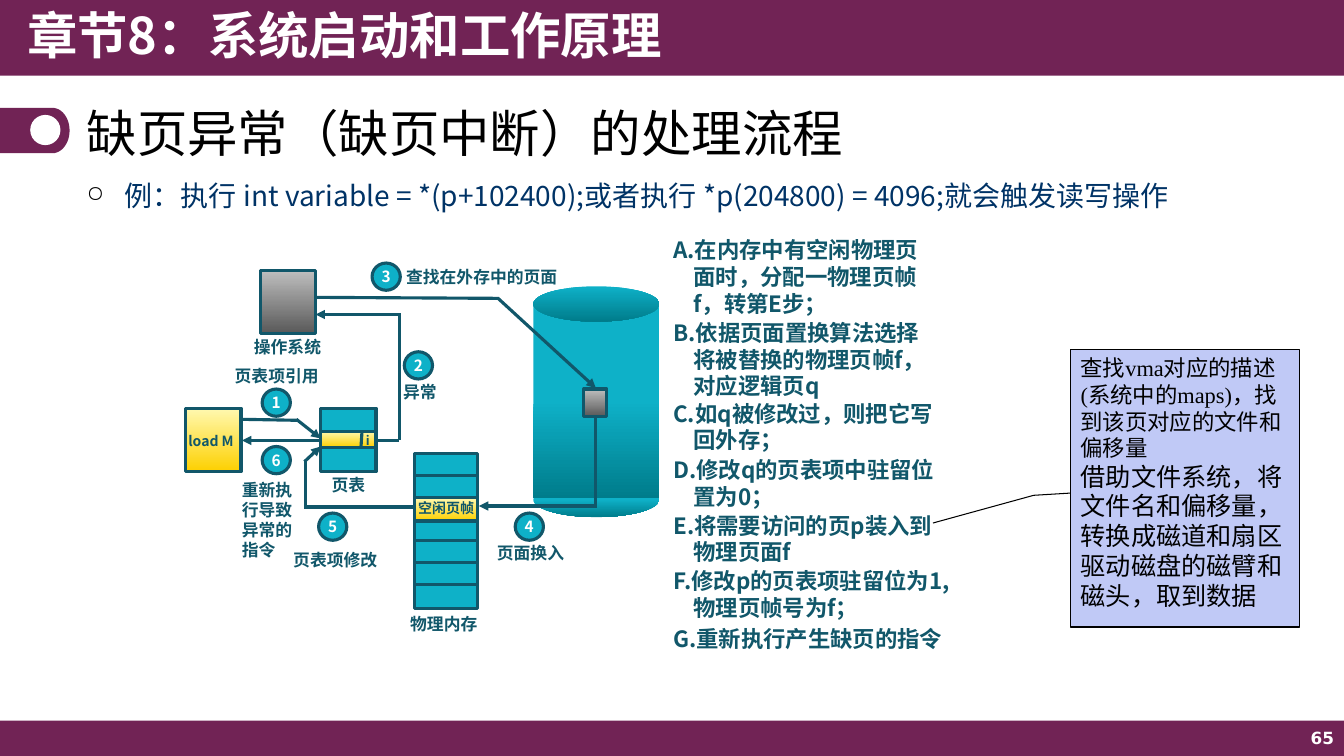
from math import cos, pi, sin

from lxml.etree import SubElement
from pptx import Presentation
from pptx.dml.color import RGBColor
from pptx.enum.shapes import MSO_CONNECTOR, MSO_SHAPE
from pptx.enum.text import MSO_ANCHOR, MSO_AUTO_SIZE, PP_ALIGN
from pptx.oxml.ns import qn
from pptx.util import Inches, Pt

PURPLE = RGBColor(0x71, 0x23, 0x55)
WHITE = RGBColor(0xFF, 0xFF, 0xFF)
BLACK = RGBColor(0, 0, 0)
NAVY = RGBColor(0x00, 0x33, 0x66)
TEAL = RGBColor(0x11, 0x57, 0x6A)
CYAN = RGBColor(0x0E, 0xB1, 0xC8)
DEEP_CYAN = RGBColor(0x00, 0x7C, 0x8B)
LAVENDER = RGBColor(0xC0, 0xC9, 0xF6)
GRAYS = (RGBColor(0xBF, 0xBF, 0xBF), RGBColor(0x59, 0x59, 0x59))
YELLOWS = (RGBColor(0xFF, 0xF9, 0xB1), RGBColor(0xFD, 0xD0, 0x00))
CYANS = (CYAN, DEEP_CYAN)
NOTO = "Noto Sans CJK SC"
TIMES = "Times New Roman"

CHAPTER = "章节8：系统启动和工作原理"
TITLE = "缺页异常（缺页中断）的处理流程"
EXAMPLE = "例：执行 int variable = *(p+102400);或者执行 *p(204800) = 4096;就会触发读写操作"
PAGE = "65"

STEPS = [
    (2.3, 2.8, "在内存中有空闲物理页面时，分配一物理页帧f，转第E步；"),
    (3.12, 2.8, "B.依据页面置换算法选择将被替换的物理页帧f，对应逻辑页q"),
    (3.92, 2.88, "C.如q被修改过，则把它写回外存；"),
    (4.48, 2.95, "D.修改q的页表项中驻留位置为0；"),
    (5.03, 2.88, "E.将需要访问的页p装入到物理页面f"),
    (5.58, 3.03, "F.修改p的页表项驻留位为1,物理页帧号为f；"),
    (6.16, 3.03, "G.重新执行产生缺页的指令"),
]
NOTES = [
    ("查找vma对应的描述 (系统中的maps)，找到该页对应的文件和偏移量", 16),
    ("借助文件系统，将文件名和偏移量，转换成磁道和扇区", 18),
    ("驱动磁盘的磁臂和磁头，取到数据", 18),
]
CALLOUT_POINTS = (0.625, -0.602, 0.525, -0.162, 0.517, -0.002)

DISK = [
    (MSO_SHAPE.OVAL, 4.78, 0.35, 0.5),
    (MSO_SHAPE.RECTANGLE, 3.02, 1.92, 0.5),
    (MSO_SHAPE.OVAL, 2.84, 0.35, 0),
]
BOXES = [
    (5.79, 3.86, 0.23, 0.27, GRAYS),
    (2.58, 2.68, 0.55, 0.63, GRAYS),
    (1.84, 4.05, 0.55, 0.63, YELLOWS),
    (3.18, 4.05, 0.55, 0.63, CYAN),
    (3.18, 4.28, 0.55, 0.16, YELLOWS),
    (4.11, 4.5, 0.63, 1.54, CYAN),
    (4.11, 4.94, 0.63, 0.23, YELLOWS),
]
ARROWS = [
    (5.91, 3.85, 4.94, 2.96),
    (3.13, 3.12, 3.96, 3.12),
    (2.4, 4.37, 3.18, 4.37),
    (3.18, 4.35, 2.94, 4.16),
    (3.18, 4.43, 3.02, 4.58),
    (4.75, 5.02, 5.92, 5.02),
]
LINES = [
    (3.14, 2.95, 4.95, 2.96),
    (3.96, 3.11, 3.96, 4.37),
    (3.72, 4.37, 3.96, 4.37),
    (2.4, 4.16, 2.95, 4.17),
    (3.59, 4.29, 3.58, 4.44),
    (3.02, 5.03, 4.11, 5.03),
    (3.03, 4.57, 3.03, 5.04),
    (5.91, 4.13, 5.91, 5.02),
] + [(4.11, y, 4.74, y) for y in (4.72, 5.36, 5.58, 5.8)]
BADGES = [
    ("1", 2.6, 3.86), ("2", 4.01, 3.49), ("3", 3.69, 2.61),
    ("4", 5.11, 5.09), ("5", 3.16, 5.09), ("6", 2.6, 4.43),
]
LABELS = [
    ("查找在外存中的页面", 3.93, 2.6, 1.87, 0.3, 12),
    ("页表项引用", 2.23, 3.58, 1.1, 0.3, 12),
    ("异常", 3.9, 3.74, 0.6, 0.3, 12),
    ("load M", 1.77, 4.24, 0.7, 0.27, 10),
    ("重新执行导致异常的指令", 2.3, 4.71, 0.79, 0.91, 12),
    ("i", 3.53, 4.25, 0.23, 0.25, 9),
    ("页表", 3.19, 4.66, 1.2, 0.3, 12),
    ("页表项修改", 2.81, 5.41, 1.18, 0.3, 12),
    ("页面换入", 4.83, 5.34, 1.21, 0.3, 12),
    ("空闲页帧", 4.05, 4.91, 0.86, 0.27, 10),
    ("物理内存", 3.97, 6.04, 1.02, 0.3, 12),
    ("操作系统", 2.42, 3.29, 1.02, 0.3, 12),
]

prs = Presentation()
prs.slide_width, prs.slide_height = Inches(13.33), Inches(7.5)
s = prs.slides.add_slide(prs.slide_layouts[5])


def write(p, text, size=12, color=TEAL, bold=True, font=NOTO, align=PP_ALIGN.LEFT, hang=0):
    p.alignment = align
    p.line_spacing = Pt(round(size * 1.19, 1))
    if hang:
        pPr = p._p.get_or_add_pPr()
        pPr.set("marL", str(Inches(hang)))
        pPr.set("indent", str(-Inches(hang)))
    r = p.add_run()
    r.text = text
    r.font.size, r.font.bold, r.font.name = Pt(size), bold, font
    r.font.color.rgb = color
    ea = NOTO if font == TIMES else font
    SubElement(r._r.get_or_add_rPr(), qn("a:ea")).set("typeface", ea)


def add_text(text, x, y, w, h, anchor=MSO_ANCHOR.TOP, **fmt):
    tf = s.shapes.add_textbox(*map(Inches, (x, y, w, h))).text_frame
    tf.word_wrap, tf.vertical_anchor = True, anchor
    write(tf.paragraphs[0], text, **fmt)
    return tf.paragraphs[0]


def paint(sp, fill, line=None, width=2.25, start=0):
    sp.shadow.inherit = False
    if isinstance(fill, tuple) and not isinstance(fill, RGBColor):
        sp.fill.gradient()
        sp.fill.gradient_angle = 270
        for stop, color, position in zip(sp.fill.gradient_stops, fill, (start, 1)):
            stop.color.rgb, stop.position = color, position
    else:
        sp.fill.solid()
        sp.fill.fore_color.rgb = fill
    if line is None:
        sp.line.fill.background()
    else:
        sp.line.color.rgb, sp.line.width = line, Pt(width)
    return sp


def add_shape(kind, x, y, w, h, fill, **look):
    return paint(s.shapes.add_shape(kind, *map(Inches, (x, y, w, h))), fill, **look)


def add_line(ends, arrow=False):
    c = s.shapes.add_connector(MSO_CONNECTOR.STRAIGHT, *map(Inches, ends))
    c.line.color.rgb, c.line.width = TEAL, Pt(2.25)
    if arrow:
        SubElement(c.line._get_or_add_ln(), qn("a:headEnd")).set("type", "triangle")
    SubElement(c._element.spPr, qn("a:effectLst"))


def add_bullet(p, tag, **attrs):
    el = SubElement(p._p.get_or_add_pPr(), qn(tag))
    for key, value in attrs.items():
        el.set(key, value)
    return el


add_shape(MSO_SHAPE.RECTANGLE, 0, 7.15, 13.33, 0.35, PURPLE)
add_shape(MSO_SHAPE.RECTANGLE, 0, 0, 13.33, 0.75, PURPLE)
arc = [(0.52 + 0.17 * sin(pi * i / 24), 1.295 - 0.225 * cos(pi * i / 24)) for i in range(25)]
fb = s.shapes.build_freeform(0, Inches(1.07), scale=1.0)
fb.add_line_segments([(Inches(x), Inches(y)) for x, y in arc + [(0, 1.52)]], close=True)
paint(fb.convert_to_shape(), PURPLE)
add_shape(MSO_SHAPE.OVAL, 0.3, 1.14, 0.3, 0.3, WHITE)
add_text(CHAPTER, 0.17, 0, 7.6, 0.77, size=36, color=WHITE)

title = s.shapes.title
title.left, title.top, title.width, title.height = map(Inches, (0.76, 0.95, 11.81, 0.74))
tf = title.text_frame
tf.auto_size, tf.vertical_anchor = MSO_AUTO_SIZE.NONE, MSO_ANCHOR.MIDDLE
write(tf.paragraphs[0], TITLE, size=36, color=BLACK, bold=False)

p = add_text(EXAMPLE, 0.76, 1.72, 11.81, 0.5, size=20, color=NAVY, bold=False, hang=0.38)
SubElement(add_bullet(p, "a:buClr"), qn("a:srgbClr")).set("val", str(BLACK))
add_bullet(p, "a:buSzPct", val="80000")
add_bullet(p, "a:buChar", char="○")

for kind, y, h, start in DISK:
    add_shape(kind, 5.29, y, 1.25, h, CYANS, start=start)
for *place, fill in BOXES:
    add_shape(MSO_SHAPE.RECTANGLE, *place, fill, line=TEAL)
for ends in LINES:
    add_line(ends)
for ends in ARROWS:
    add_line(ends, arrow=True)
for number, x, y in BADGES:
    tf = add_shape(MSO_SHAPE.OVAL, x, y, 0.28, 0.27, CYAN, line=TEAL).text_frame
    tf.word_wrap, tf.vertical_anchor = False, MSO_ANCHOR.MIDDLE
    write(tf.paragraphs[0], number, size=11, color=WHITE, align=PP_ALIGN.CENTER)
for text, x, y, w, h, size in LABELS:
    add_text(text, x, y, w, h, size=size)

for i, (y, w, text) in enumerate(STEPS):
    p = add_text(text, 6.58, y, w, 0.37, size=16, hang=0.2)
    if i == 0:
        add_bullet(p, "a:buFont", typeface=NOTO)
        add_bullet(p, "a:buAutoNum", type="alphaUcPeriod")

callout = add_shape(MSO_SHAPE.LINE_CALLOUT_2, 10.62, 3.47, 2.27, 2.75, LAVENDER, line=BLACK, width=0.75)
for i, value in enumerate(CALLOUT_POINTS):
    callout.adjustments[i] = value
tf = callout.text_frame
tf.word_wrap, tf.vertical_anchor = True, MSO_ANCHOR.TOP
for i, (text, size) in enumerate(NOTES):
    p = tf.add_paragraph() if i else tf.paragraphs[0]
    write(p, text, size=size, color=BLACK, bold=False, font=TIMES)

add_text(PAGE, 10.33, 7.14, 3, 0.36, anchor=MSO_ANCHOR.MIDDLE, size=12, color=WHITE,
         font="DejaVu Sans", align=PP_ALIGN.RIGHT)

prs.save("out.pptx")
